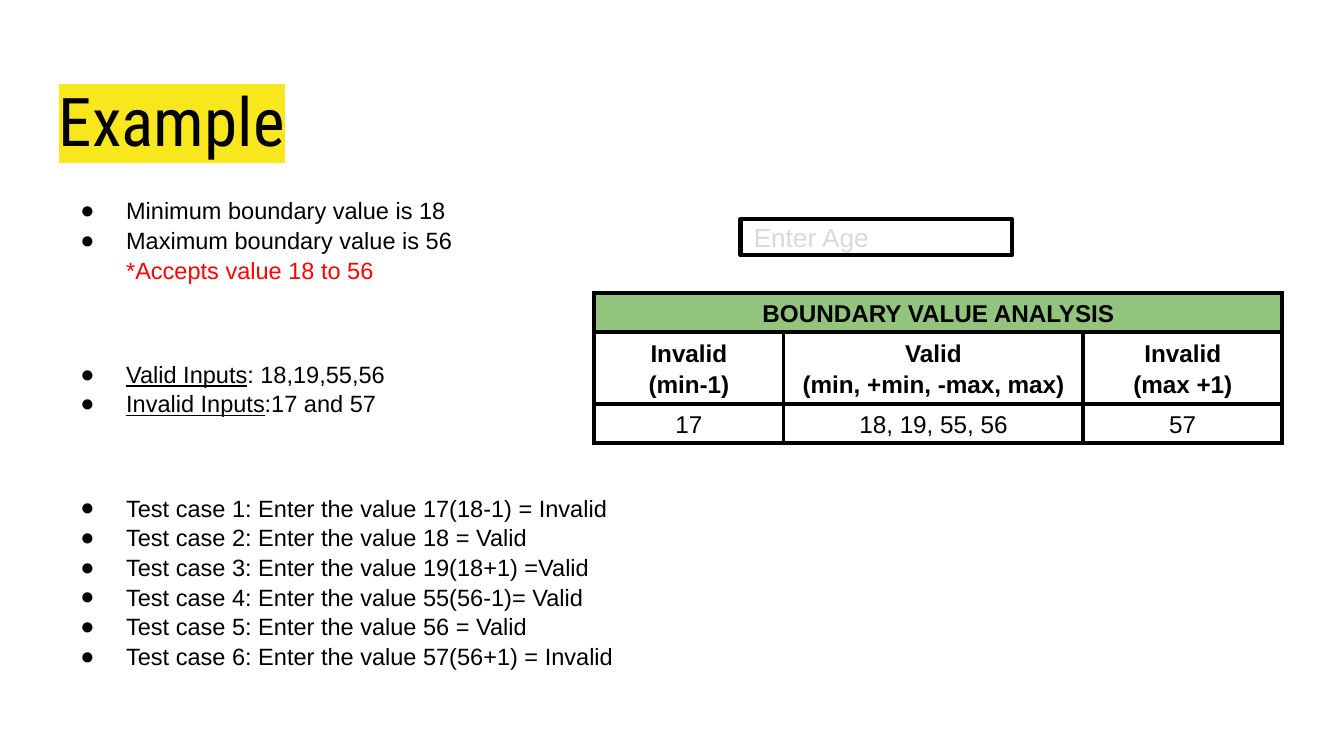
from dataclasses import dataclass

from lxml import etree
from pptx import Presentation
from pptx.dml.color import RGBColor
from pptx.enum.shapes import MSO_SHAPE
from pptx.enum.text import MSO_ANCHOR, PP_ALIGN
from pptx.oxml.ns import qn
from pptx.util import Inches, Pt

RECTANGLE = MSO_SHAPE.RECTANGLE
TOP, MIDDLE = MSO_ANCHOR.TOP, MSO_ANCHOR.MIDDLE
LEFT, CENTER = PP_ALIGN.LEFT, PP_ALIGN.CENTER

BLACK, WHITE, RED = "000000", "FFFFFF", "FF0000"
YELLOW, GREEN, GRAY = "F8E71C", "93C47D", "D9D9D9"
LINE_WIDTH = Pt(2.25)
GROUP_GAP = 40  # points above each new group of bullets


@dataclass
class Item:
    text: str
    label: str = ""  # underlined lead-in
    color: str = BLACK
    bullet: bool = True
    space_before: float = 0


@dataclass
class Cell:
    lines: list[str]
    bold: bool = True
    fill: str | None = None


ITEMS = [
    Item("Minimum boundary value is 18"),
    Item("Maximum boundary value is 56"),
    Item("*Accepts value 18 to 56", color=RED, bullet=False),
    Item(": 18,19,55,56", label="Valid Inputs", space_before=GROUP_GAP),
    Item(":17 and 57", label="Invalid Inputs"),
    Item("Test case 1: Enter the value 17(18-1) = Invalid", space_before=GROUP_GAP),
    Item("Test case 2: Enter the value 18 = Valid"),
    Item("Test case 3: Enter the value 19(18+1) =Valid"),
    Item("Test case 4: Enter the value 55(56-1)= Valid"),
    Item("Test case 5: Enter the value 56 = Valid"),
    Item("Test case 6: Enter the value 57(56+1) = Invalid"),
]

TABLE_SIZE = Inches(3.28)  # nominal frame; the rows and columns set the extent
COLUMN_WIDTHS = [1.41, 2.23, 1.48]
ROW_HEIGHTS = [0.23, 0.39, 0.23]
TABLE_ROWS = [
    [Cell(["BOUNDARY VALUE ANALYSIS"], fill=GREEN)],
    [
        Cell(["Invalid", "(min-1)"]),
        Cell(["Valid", "(min, +min, -max, max)"]),
        Cell(["Invalid", "(max +1)"]),
    ],
    [Cell([text], bold=False) for text in ("17", "18, 19, 55, 56", "57")],
]


def rgb(color: str) -> RGBColor:
    return RGBColor.from_string(color)


def add_text(paragraph, text: str, *, size: float, color: str = BLACK,
             font: str = "Arial", bold: bool = False, underline: bool = False,
             highlight: str | None = None, align=LEFT) -> None:
    paragraph.alignment = align
    run = paragraph.add_run()
    run.text = text
    run.font.size = Pt(size)
    run.font.bold = bold
    run.font.underline = underline
    run.font.color.rgb = rgb(color)
    run.font.name = font
    if highlight:
        element = etree.Element(qn("a:highlight"))
        etree.SubElement(element, qn("a:srgbClr"), val=highlight)
        run.font._element.find(qn("a:solidFill")).addnext(element)


def set_frame(frame, anchor=TOP) -> None:
    frame.word_wrap = True
    frame.vertical_anchor = anchor
    frame.margin_left = frame.margin_right = Inches(0.1)
    frame.margin_top = frame.margin_bottom = Inches(0.1)


def next_paragraph(frame, index: int):
    return frame.add_paragraph() if index else frame.paragraphs[0]


def add_title(slide) -> None:
    box = slide.shapes.add_textbox(Inches(0.34), Inches(0.49), Inches(9.32), Inches(0.63))
    set_frame(box.text_frame)
    add_text(box.text_frame.paragraphs[0], "Example", size=36,
             font="Roboto Condensed", highlight=YELLOW)


def set_indent(paragraph, bullet: bool) -> None:
    properties = paragraph._p.get_or_add_pPr()
    properties.set("marL", str(Inches(0.5)))
    properties.set("indent", str(Inches(-0.34) if bullet else 0))
    if bullet:
        color = etree.SubElement(properties, qn("a:buClr"))
        etree.SubElement(color, qn("a:srgbClr"), val=BLACK)
        etree.SubElement(properties, qn("a:buFont"), typeface="Arial")
        etree.SubElement(properties, qn("a:buChar"), char="●")
    else:
        etree.SubElement(properties, qn("a:buNone"))


def add_items(slide, items: list[Item]) -> None:
    box = slide.shapes.add_textbox(Inches(0.34), Inches(1.35), Inches(9.32), Inches(3.65))
    set_frame(box.text_frame)
    for index, item in enumerate(items):
        paragraph = next_paragraph(box.text_frame, index)
        paragraph.line_spacing = 1.05
        paragraph.space_before = Pt(item.space_before)
        set_indent(paragraph, item.bullet)
        if item.label:
            add_text(paragraph, item.label, size=12.6, underline=True)
        add_text(paragraph, item.text, size=12.6, color=item.color)


def add_age_field(slide) -> None:
    field = slide.shapes.add_shape(RECTANGLE, Inches(5.51), Inches(1.63),
                                   Inches(2.02), Inches(0.27))
    field.shadow.inherit = False
    field.fill.solid()
    field.fill.fore_color.rgb = rgb(WHITE)
    field.line.color.rgb = rgb(BLACK)
    field.line.width = LINE_WIDTH
    set_frame(field.text_frame, anchor=MIDDLE)
    add_text(field.text_frame.paragraphs[0], "Enter Age", size=14, color=GRAY)


def set_borders(cell) -> None:
    properties = cell._tc.get_or_add_tcPr()
    for index, side in enumerate(("lnL", "lnR", "lnT", "lnB")):
        line = etree.Element(qn(f"a:{side}"), w=str(LINE_WIDTH))
        fill = etree.SubElement(line, qn("a:solidFill"))
        etree.SubElement(fill, qn("a:srgbClr"), val=BLACK)
        properties.insert(index, line)


def fill_cell(cell, content: Cell) -> None:
    cell.vertical_anchor = MIDDLE
    cell.margin_left = cell.margin_right = Inches(0.03)
    cell.margin_top = cell.margin_bottom = Inches(0.02)
    for index, line in enumerate(content.lines):
        paragraph = next_paragraph(cell.text_frame, index)
        paragraph.line_spacing = 1.15
        add_text(paragraph, line, size=13, bold=content.bold, align=CENTER)


def add_analysis_table(slide) -> None:
    frame = slide.shapes.add_table(
        len(ROW_HEIGHTS), len(COLUMN_WIDTHS), Inches(4.42), Inches(2.18),
        TABLE_SIZE, TABLE_SIZE)
    table = frame.table
    table.first_row = table.horz_banding = False
    for column, width in zip(table.columns, COLUMN_WIDTHS):
        column.width = Inches(width)
    for row, height in zip(table.rows, ROW_HEIGHTS):
        row.height = Inches(height)
    frame.width = frame.height = TABLE_SIZE
    table.cell(0, 0).merge(table.cell(0, len(COLUMN_WIDTHS) - 1))
    for cell in table.iter_cells():
        cell.fill.background()
        set_borders(cell)
    for row_index, contents in enumerate(TABLE_ROWS):
        for column_index, content in enumerate(contents):
            cell = table.cell(row_index, column_index)
            fill_cell(cell, content)
            if content.fill:
                cell.fill.solid()
                cell.fill.fore_color.rgb = rgb(content.fill)


def main() -> None:
    presentation = Presentation()
    presentation.slide_width = Inches(10)
    presentation.slide_height = presentation.slide_width * 9 // 16
    slide = presentation.slides.add_slide(presentation.slide_layouts[6])

    # Heading and bullets on the left
    add_title(slide)
    add_items(slide, ITEMS)

    # Input field and table on the right
    add_age_field(slide)
    add_analysis_table(slide)

    presentation.save("out.pptx")


if __name__ == "__main__":
    main()
